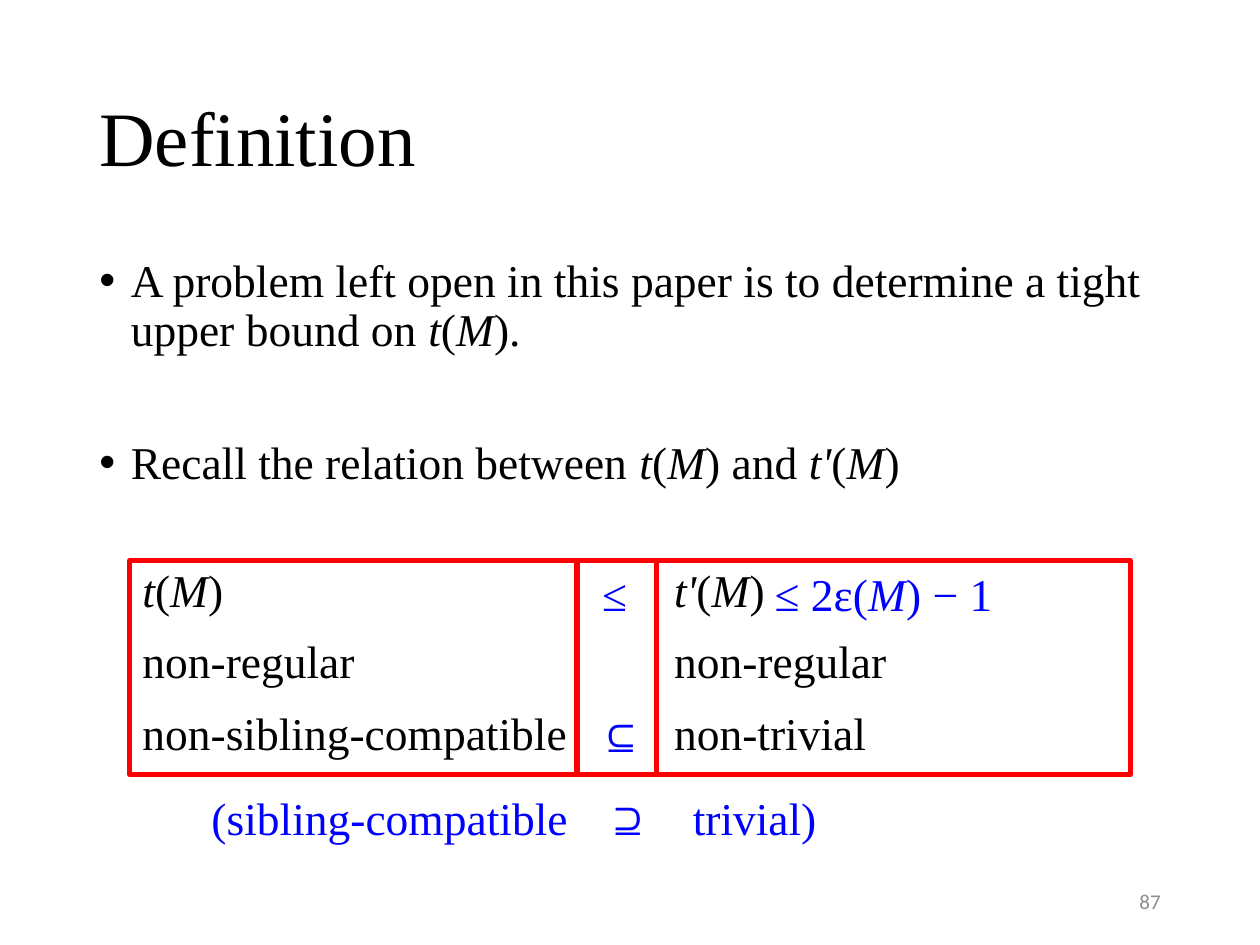
from dataclasses import dataclass

from pptx import Presentation
from pptx.dml.color import RGBColor
from pptx.enum import shapes, text
from pptx.oxml import parse_xml
from pptx.oxml.ns import nsdecls
from pptx.util import Inches, Pt

BLACK = RGBColor(0, 0, 0)
BLUE = RGBColor(0, 0, 255)
RED = RGBColor(255, 0, 0)
GRAY = RGBColor(0x8C, 0x8C, 0x8C)
SERIF = "Times New Roman"

TABLE_LEFT, TABLE_TOP, TABLE_HEIGHT = 1.03, 4.45, 1.7
COLUMNS = (4.22, 3.72)
DIVIDERS = (4.58, 5.21)
ROWS = (
    ("*t*(*M*)", "*t'*(*M*)"),
    ("non-regular", "non-regular"),
    ("non-sibling-compatible", "non-trivial"),
)
BULLETS = (
    ("A problem left open in this paper is to determine a tight "
     "upper bound on *t*(*M*).", 0),
    ("Recall the relation between *t*(*M*) and *t'*(*M*)", 48),
)


@dataclass
class Label:
    markup: str
    left: float
    top: float
    width: float
    height: float
    size: float = 26
    color: RGBColor = BLUE
    font: str = SERIF
    wrap: bool = False
    anchor: text.MSO_ANCHOR = text.MSO_ANCHOR.TOP
    align: text.PP_ALIGN = text.PP_ALIGN.LEFT
    line_spacing: float = 1.0
    tabs: tuple[float, ...] = ()


LABELS = (
    Label("Definition", 0.69, 0.4, 8.62, 1.45, size=44, color=BLACK, wrap=True,
          anchor=text.MSO_ANCHOR.MIDDLE, line_spacing=0.9),
    Label("87", 7.06, 6.95, 2.25, 0.4, size=12, color=GRAY, font="Calibri",
          wrap=True, anchor=text.MSO_ANCHOR.MIDDLE, align=text.PP_ALIGN.RIGHT),
    Label("(sibling-compatible\t⊇\ttrivial)", 1.58, 6.22, 5.34, 0.54,
          wrap=True, tabs=(3.13, 3.82)),
    Label("⊆", 4.65, 5.56, 0.46, 0.54),
    Label("≤", 4.68, 4.44, 0.4, 0.54),
    Label("≤ 2ε(*M*) − 1", 6.05, 4.44, 1.94, 0.54),
)


def write(p, markup: str, size: float = 26, color: RGBColor = BLACK,
          font: str = SERIF) -> None:
    for i, part in enumerate(markup.split("*")):
        if not part:
            continue
        r = p.add_run()
        r.text = part
        fmt = {"size": Pt(size), "name": font, "italic": i % 2 == 1, "bold": False}
        for name, value in fmt.items():
            setattr(r.font, name, value)
        r.font.color.rgb = color


def add_label(s, label: Label) -> None:
    box = s.shapes.add_textbox(*map(Inches, (label.left, label.top,
                                             label.width, label.height)))
    tf = box.text_frame
    tf.word_wrap = label.wrap
    tf.vertical_anchor = label.anchor
    p = tf.paragraphs[0]
    if label.tabs:
        stops = "".join(f'<a:tab pos="{Inches(x)}" algn="l"/>' for x in label.tabs)
        p._p.get_or_add_pPr().append(
            parse_xml(f'<a:tabLst {nsdecls("a")}>{stops}</a:tabLst>'))
    p.alignment = label.align
    p.line_spacing = label.line_spacing
    write(p, label.markup, label.size, label.color, label.font)


def add_bullets(s) -> None:
    box = s.shapes.add_textbox(Inches(0.69), Inches(2), Inches(9.17), Inches(4.76))
    tf = box.text_frame
    tf.word_wrap = True
    for i, (markup, space) in enumerate(BULLETS):
        p = tf.add_paragraph() if i else tf.paragraphs[0]
        pr = p._p.get_or_add_pPr()
        pr.set("marL", str(Inches(0.25)))
        pr.set("indent", str(-Inches(0.25)))
        pr.append(parse_xml(f'<a:buFont {nsdecls("a")} typeface="Arial"/>'))
        pr.append(parse_xml(f'<a:buChar {nsdecls("a")} char="•"/>'))
        p.line_spacing = 0.9
        p.space_before = Pt(space)
        write(p, markup)


def add_relation_table(s) -> None:
    frame = s.shapes.add_table(
        len(ROWS), len(COLUMNS), Inches(TABLE_LEFT), Inches(TABLE_TOP),
        Inches(sum(COLUMNS)), Inches(TABLE_HEIGHT))
    table = frame.table
    table.first_row = table.horz_banding = False
    for column, width in zip(table.columns, COLUMNS):
        column.width = Inches(width)
    for i, row in enumerate(ROWS):
        for j, markup in enumerate(row):
            cell = table.cell(i, j)
            cell.fill.background()
            write(cell.text_frame.paragraphs[0], markup)


def style_line(sp) -> None:
    sp.line.color.rgb = RED
    sp.line.width = Pt(3)


def add_frame(s) -> None:
    sp = s.shapes.add_shape(
        shapes.MSO_SHAPE.RECTANGLE, Inches(TABLE_LEFT), Inches(TABLE_TOP),
        Inches(sum(COLUMNS)), Inches(TABLE_HEIGHT))
    sp.shadow.inherit = False
    sp.fill.background()
    style_line(sp)
    for x in DIVIDERS:
        line = s.shapes.add_connector(
            shapes.MSO_CONNECTOR.STRAIGHT, Inches(x), Inches(TABLE_TOP),
            Inches(x), Inches(TABLE_TOP + TABLE_HEIGHT))
        style_line(line)
        line._element.spPr.append(parse_xml(f'<a:effectLst {nsdecls("a")}/>'))


def main() -> None:
    prs = Presentation()
    prs.slide_width, prs.slide_height = Inches(10), Inches(7.5)
    s = prs.slides.add_slide(prs.slide_layouts[6])
    add_bullets(s)
    add_relation_table(s)
    add_frame(s)
    for label in LABELS:
        add_label(s, label)
    prs.save("out.pptx")


if __name__ == "__main__":
    main()
